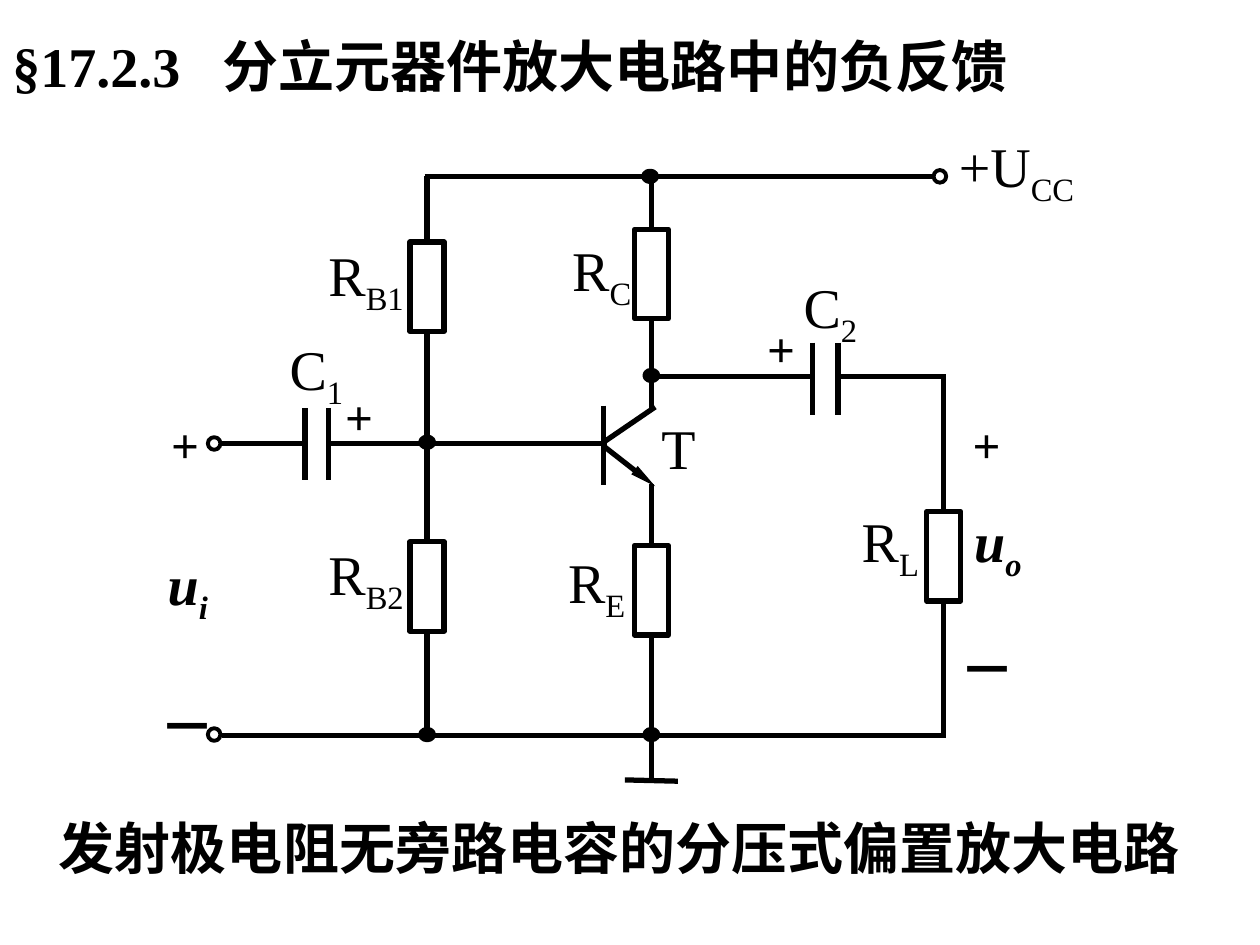
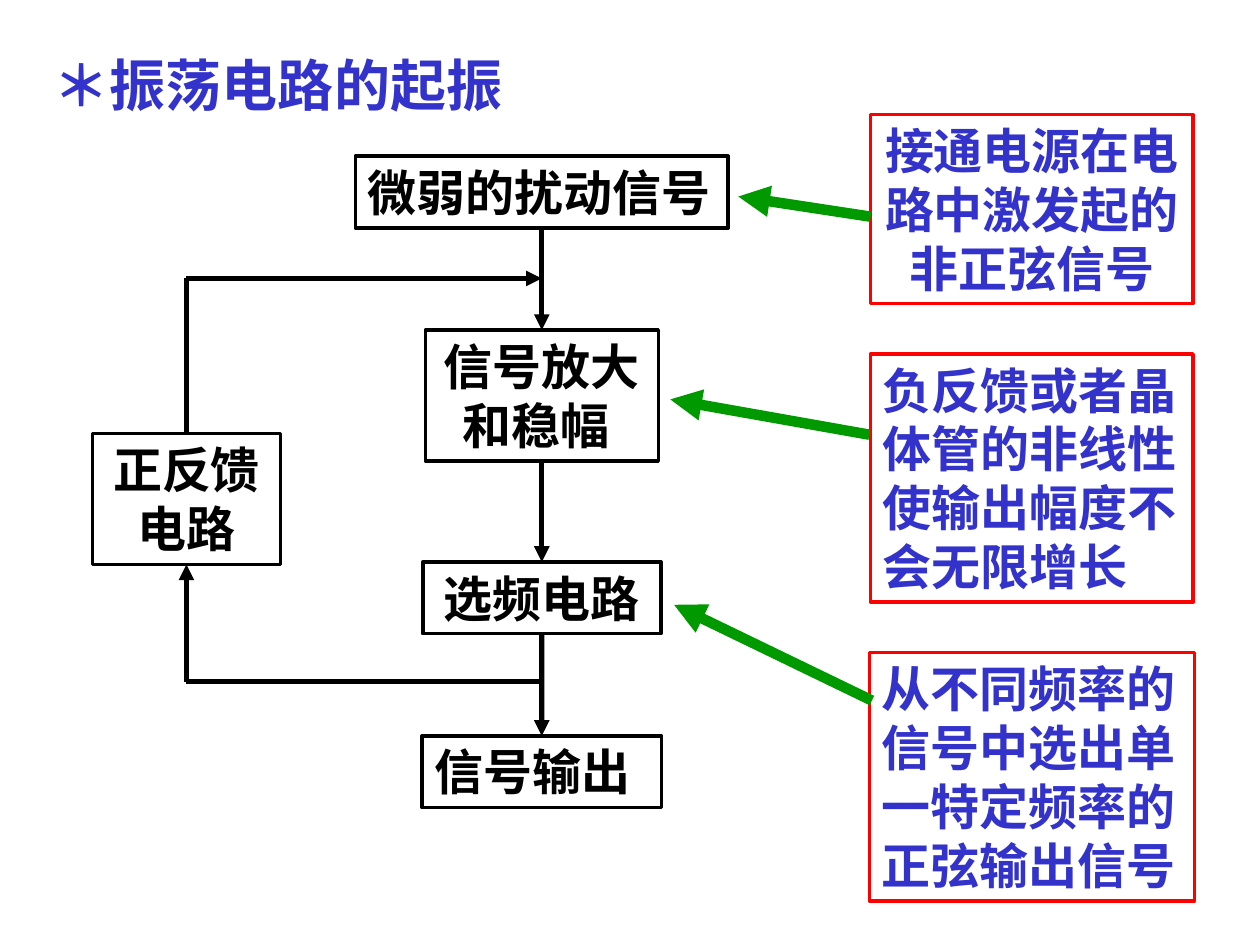
from dataclasses import dataclass

from lxml.etree import SubElement
from pptx import Presentation
from pptx.dml.color import RGBColor as RGB
from pptx.enum.shapes import MSO_CONNECTOR as Connector, MSO_SHAPE as Shape
from pptx.enum.text import MSO_ANCHOR as Anchor, PP_ALIGN as Align
from pptx.oxml.ns import qn
from pptx.util import Inches, Pt


@dataclass(frozen=True)
class Theme:
    font: str = "Times New Roman"
    black: RGB = RGB(0, 0, 0)
    white: RGB = RGB(255, 255, 255)
    blue: RGB = RGB(0x33, 0x33, 0xCC)
    red: RGB = RGB(255, 0, 0)
    green: RGB = RGB(0, 0x99, 0)
    title_size: int = 32
    body_size: int = 28
    wire: float = 3
    terminal: float = 2.25
    border: float = 2
    pointer: float = 6
    chinese_spacing: float = 1.2


theme = Theme()


def add_text(slide, text, box, size=theme.body_size, color=theme.black, bold=True,
             italic=False, align=Align.LEFT, anchor=Anchor.TOP, inset=0.1, wrap=True,
             border=None, chinese=True, tab=None):
    """Add a text box, or a framed box; an underscore starts a subscript."""
    lengths = [Inches(value) for value in box]
    if border is None:
        shape = slide.shapes.add_textbox(*lengths)
    else:
        shape = slide.shapes.add_shape(Shape.RECTANGLE, *lengths)
        shape.shadow.inherit = False
        shape.fill.background()
        shape.line.color.rgb = border
        shape.line.width = Pt(theme.border)
    frame = shape.text_frame
    frame.word_wrap = wrap
    frame.vertical_anchor = anchor
    frame.margin_left = frame.margin_right = Inches(inset)
    paragraph = frame.paragraphs[0]
    paragraph.alignment = align
    if chinese:
        paragraph.line_spacing = Pt(size * theme.chinese_spacing)
    if tab:
        stops = SubElement(paragraph._p.get_or_add_pPr(), qn("a:tabLst"))
        SubElement(stops, qn("a:tab"), pos=str(Inches(tab)), algn="l")
    for index, part in enumerate(text.split("_")):
        run = paragraph.add_run()
        run.text = part
        run.font.name = theme.font
        run.font.size = Pt(size)
        run.font.bold = bold
        run.font.italic = italic
        run.font.color.rgb = color
        properties = run._r.get_or_add_rPr()
        if chinese:
            properties.set("lang", "zh-CN")
        if index:
            properties.set("baseline", "-25000")
    return shape


def add_line(slide, start, end, color=theme.black, width=theme.wire, arrow=None):
    """Each end is an (x, y) point or a (shape, side) joint."""
    joined = [not isinstance(place[0], (int, float)) for place in (start, end)]
    points = [(0, 0) if joint else place for joint, place in zip(joined, (start, end))]
    line = slide.shapes.add_connector(
        Connector.STRAIGHT, *[Inches(value) for point in points for value in point])
    if joined[0]:
        line.begin_connect(*start)
    if joined[1]:
        line.end_connect(*end)
    line.line.color.rgb = color
    line.line.width = Pt(width)
    if arrow:
        SubElement(line.line._get_or_add_ln(), qn("a:tailEnd"),
                   type="triangle", w=arrow[0], len=arrow[1])
    SubElement(line._element.spPr, qn("a:effectLst"))


TOP, BOTTOM = 0, 2
presentation = Presentation()
presentation.slide_width = Inches(10)
presentation.slide_height = Inches(7.5)
blank = presentation.slide_layouts[6]

# Slide 1: amplifier circuit
slide = presentation.slides.add_slide(blank)
add_text(slide, "§17.2.3\t分立元器件放大电路中的负反馈", (0, 0.2, 8.78, 0.64),
         size=theme.title_size, tab=1.67)
add_text(slide, "发射极电阻无旁路电容的分压式偏置放大电路", (0.37, 6.41, 9.3, 0.64),
         size=theme.title_size)

# Columns and rails of the circuit
base_x, collector_x, load_x = 3.39, 5.17, 7.49
supply_y, output_y, input_y, ground_y = 1.4, 2.99, 3.52, 5.84

# Resistors
resistors = {}
for name, center_x, top in [("RB1", base_x, 1.92), ("RB2", base_x, 4.3),
                            ("RC", collector_x, 1.82), ("RE", collector_x, 4.33),
                            ("RL", load_x, 4.06)]:
    resistor = slide.shapes.add_shape(
        Shape.RECTANGLE, Inches(center_x - 0.135), Inches(top), Inches(0.27), Inches(0.71))
    resistor.shadow.inherit = False
    resistor.fill.solid()
    resistor.fill.fore_color.rgb = theme.white
    resistor.line.color.rgb = theme.black
    resistor.line.width = Pt(theme.wire)
    resistors[name] = resistor

# Wires
wires = [
    ((base_x, supply_y), (resistors["RB1"], TOP)),
    ((resistors["RB1"], BOTTOM), (resistors["RB2"], TOP)),
    ((resistors["RB2"], BOTTOM), (base_x, ground_y)),
    ((collector_x, supply_y), (resistors["RC"], TOP)),
    ((resistors["RC"], BOTTOM), (collector_x, 3.25)),
    ((collector_x, 3.84), (resistors["RE"], TOP)),
    ((resistors["RE"], BOTTOM), (collector_x, 6.2)),
    ((load_x, output_y), (resistors["RL"], TOP)),
    ((resistors["RL"], BOTTOM), (load_x, 5.86)),
    ((base_x - 0.02, supply_y), (7.41, supply_y)),
    ((collector_x, output_y), (6.45, output_y)),
    ((6.65, output_y), (load_x + 0.02, output_y)),
    ((1.76, input_y), (2.42, input_y)),
    ((2.61, input_y), (4.82, input_y)),
    ((1.76, ground_y), (load_x, ground_y)),
    ((4.96, 6.19), (5.38, 6.2)),
    ((4.79, 3.22), (4.79, 3.85)),
    ((4.79, 3.51), (5.2, 3.23)),
]
for plate_x, plate_top in [(2.42, 3.24), (2.61, 3.24), (6.45, 2.72), (6.65, 2.72)]:
    wires.append(((plate_x, plate_top), (plate_x, plate_top + 0.57)))
for start, end in wires:
    add_line(slide, start, end)
add_line(slide, (4.79, 3.54), (5.2, 3.86), arrow=("sm", "lg"))

# Junctions are filled, terminals are open
junctions = [(base_x, 3.51), (base_x, 5.83), (collector_x, 2.98),
             (collector_x, 5.83), (5.16, supply_y)]
terminals = [(1.7, input_y), (1.7, 5.83), (7.46, supply_y)]
for center_x, center_y in junctions + terminals:
    filled = (center_x, center_y) in junctions
    height = 0.08 if filled else 0.1
    circle = slide.shapes.add_shape(
        Shape.OVAL, Inches(center_x - 0.05), Inches(center_y - height / 2),
        Inches(0.1), Inches(height))
    circle.shadow.inherit = False
    if filled:
        circle.fill.solid()
        circle.fill.fore_color.rgb = theme.black
    else:
        circle.fill.background()
    circle.line.color.rgb = theme.black
    circle.line.width = Pt(theme.wire if filled else theme.terminal)

# Component names: no side insets, so that each stays on one line
for label, left, top, width in [
        ("R_B1", 2.51, 1.86, 0.79), ("R_B2", 2.51, 4.23, 0.79), ("R_C", 4.44, 1.82, 0.67),
        ("R_E", 4.41, 4.29, 0.65), ("R_L", 6.74, 3.97, 0.65), ("C_1", 2.2, 2.6, 0.62),
        ("C_2", 6.28, 2.11, 0.62), ("+U_CC", 7.61, 0.99, 1.11), ("T", 5.15, 3.19, 0.47),
        ("u_i", 1.11, 4.31, 0.76), ("u_o", 7.54, 3.97, 0.76)]:
    voltage = label.startswith("u")
    add_text(slide, label, (left, top, width, 0.71), size=theme.title_size, bold=voltage,
             italic=voltage, align=Align.LEFT if label == "+U_CC" else Align.CENTER,
             anchor=Anchor.MIDDLE, inset=0, chinese=False)

# Polarity signs
for left, top in [(7.62, 3.24), (5.99, 2.48), (2.64, 3.02), (1.26, 3.24)]:
    add_text(slide, "+", (left, top, 0.58, 0.57), chinese=False)
for left, top in [(7.52, 4.99), (1.17, 5.44)]:
    add_text(slide, "－", (left, top, 0.63, 0.64), size=theme.title_size)

# Slide 2: how the oscillation starts
slide = presentation.slides.add_slide(blank)
add_text(slide, "＊振荡电路的起振", (0.33, 0.35, 3.86, 0.64),
         size=theme.title_size, color=theme.blue)
main_x, feedback_x, tap_y, return_y = 4.3, 1.48, 5.41, 2.21

# Stages, centred on their columns
stages = []
for text, center_x, top, width, height, align in [
        ("微弱的扰动信号", main_x, 1.24, 2.96, 0.57, Align.LEFT),
        ("信号放大和稳幅 ", main_x, 2.62, 1.85, 1.04, Align.CENTER),
        ("选频电路", main_x, 4.46, 1.89, 0.57, Align.CENTER),
        ("信号输出", main_x, 5.84, 1.9, 0.57, Align.LEFT),
        ("正反馈电路", feedback_x, 3.44, 1.49, 1.04, Align.CENTER)]:
    stages.append(add_text(slide, text, (center_x - width / 2, top, width, height),
                           align=align, border=theme.black))
feedback = stages.pop()

# Forward path
for upper, lower in zip(stages, stages[1:]):
    add_line(slide, (upper, BOTTOM), (lower, TOP), arrow=("med", "med"))

# Feedback path
add_line(slide, (main_x, tap_y), (feedback_x, tap_y))
add_line(slide, (feedback_x, tap_y), (feedback, BOTTOM), arrow=("med", "med"))
add_line(slide, (feedback, TOP), (feedback_x, return_y))
add_line(slide, (feedback_x, return_y), (main_x, return_y), arrow=("med", "med"))

# Notes with their pointers
for text, box, align, start, end in [
        ("接通电源在电路中激发起的非正弦信号", (6.91, 0.91, 2.56, 1.5), Align.CENTER,
         (6.91, 1.72), (5.86, 1.56)),
        ("负反馈或者晶体管的非线性使输出幅度不会无限增长", (6.91, 2.81, 2.56, 1.97), Align.LEFT,
         (6.9, 3.45), (5.32, 3.17)),
        ("从不同频率的信号中选出单一特定频率的正弦输出信号", (6.9, 5.18, 2.58, 1.97), Align.LEFT,
         (6.92, 5.56), (5.35, 4.8))]:
    add_text(slide, text, box, color=theme.blue, align=align, border=theme.red)
    add_line(slide, start, end, color=theme.green, width=theme.pointer, arrow=("med", "med"))

presentation.save("out.pptx")
